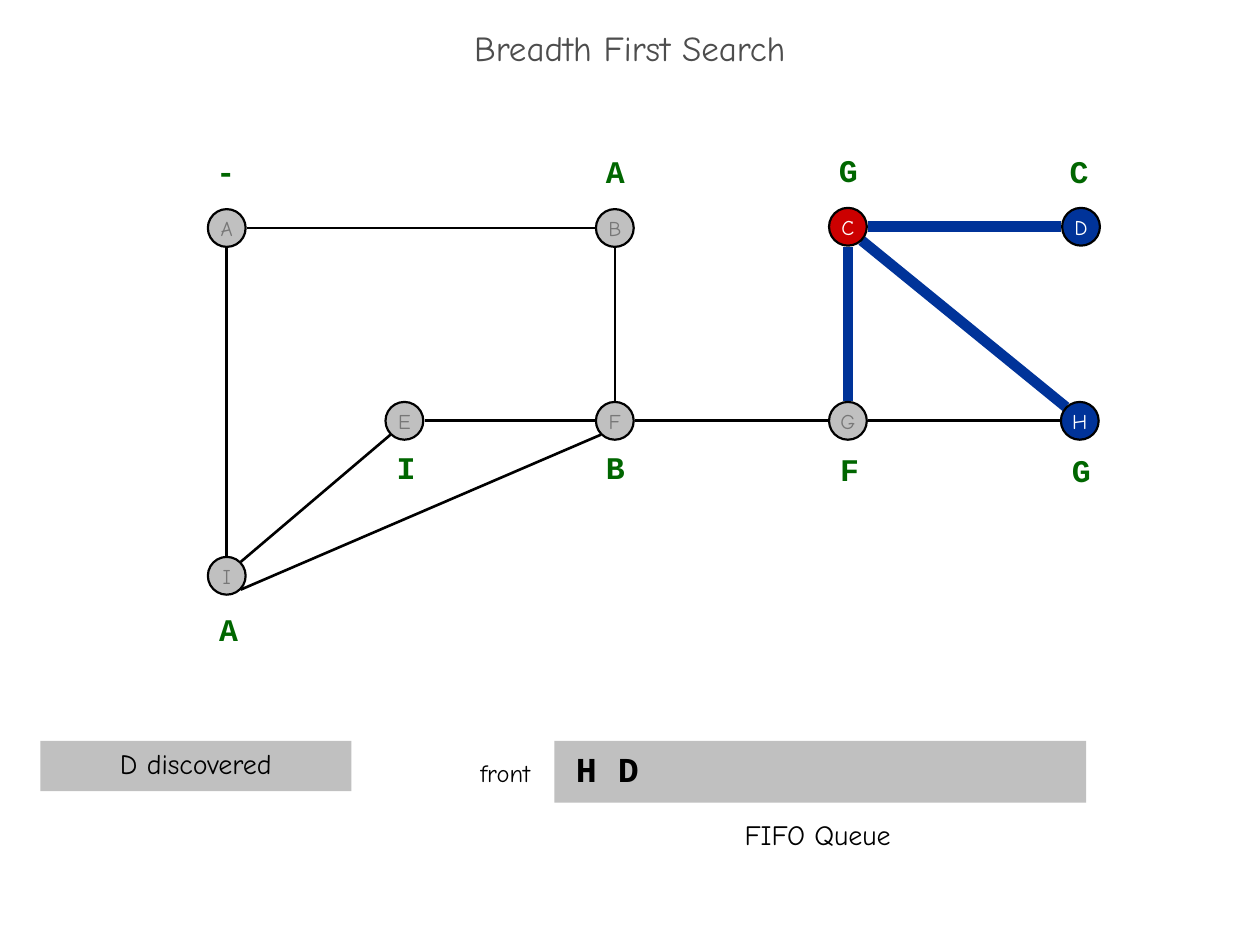
from pptx import Presentation
from pptx.dml.color import RGBColor
from pptx.enum import shapes, text
from pptx.util import Inches, Pt
from lxml import etree

BLACK = RGBColor(0x00, 0x00, 0x00)
WHITE = RGBColor(0xFF, 0xFF, 0xFF)
SLATE = RGBColor(0x4D, 0x4D, 0x4D)
DIM = RGBColor(0x77, 0x77, 0x77)
GREY = RGBColor(0xC0, 0xC0, 0xC0)
BLUE = RGBColor(0x00, 0x33, 0x99)
RED = RGBColor(0xCC, 0x00, 0x00)
GREEN = RGBColor(0x00, 0x66, 0x00)
HAND, MONO = "Comic Neue", "Courier New"
LEFT, MID = text.PP_ALIGN.LEFT, text.PP_ALIGN.CENTER
TOP, CENTER = text.MSO_ANCHOR.TOP, text.MSO_ANCHOR.MIDDLE
GROW, FIXED = text.MSO_AUTO_SIZE.SHAPE_TO_FIT_TEXT, text.MSO_AUTO_SIZE.NONE
DRAW = "http://schemas.openxmlformats.org/drawingml/2006/main"

SIZE, REACH, SLANT = 0.3, 0.16, 0.11
SITES = {"n": (0, -REACH), "s": (0, REACH), "w": (-REACH, 0), "e": (REACH, 0),
         "ne": (SLANT, -SLANT), "se": (SLANT, SLANT),
         "nw": (-SLANT, -SLANT), "sw": (-SLANT, SLANT)}
NODES = {"A": (0, 0.51), "B": (3.08, 0.51), "C": (4.93, 0.5),
         "D": (6.78, 0.5), "E": (1.41, 2.04), "F": (3.08, 2.04),
         "G": (4.93, 2.04), "H": (6.77, 2.04), "I": (0, 3.27)}
PARENTS = {"A": ("-", -0.03, 0.01), "B": ("A", 3.06, 0.01),
           "C": ("G", 4.91, 0), "D": ("C", 6.74, 0.01),
           "E": ("I", 1.4, 2.36), "F": ("B", 3.06, 2.36),
           "G": ("F", 4.92, 2.37), "H": ("G", 6.76, 2.38),
           "I": ("A", -0.01, 3.64)}
ACTIVE = {"C": RED, "D": BLUE, "H": BLUE}
PLAIN = [("A", "s", "I", "n"), ("F", "n", "B", "s"), ("E", "e", "F", "w"),
         ("I", "ne", "E", "sw"), ("A", "e", "B", "w"), ("I", "se", "F", "sw"),
         ("G", "e", "H", "w"), ("F", "e", "G", "w")]
TRACED = [("C", "s", "G", "n"), ("C", "se", "H", "nw"), ("C", "e", "D", "w")]


def write(shape, words, size, color, face=HAND, bold=False, align=MID,
          before=0, lead=None, anchor=TOP, wrap=True, fit=FIXED, inset=0.1):
    frame = shape.text_frame
    para = frame.paragraphs[0]
    run = para.add_run()
    run.text = words
    run.font.color.rgb = color
    formats = [
        (frame, {"word_wrap": wrap, "auto_size": fit, "vertical_anchor": anchor,
                 "margin_left": Inches(inset), "margin_right": Inches(inset),
                 "margin_top": Inches(0.05), "margin_bottom": Inches(0.05)}),
        (para, {"alignment": align, "space_before": Pt(before),
                "line_spacing": lead}),
        (run.font, {"name": face, "size": Pt(size), "bold": bold})]
    for part, values in formats:
        for name, value in values.items():
            setattr(part, name, value)


def label(slide, box, words, size, color, **style):
    shape = slide.shapes.add_textbox(*map(Inches, box))
    write(shape, words, size, color, **style)


def block(slide, box, kind, fill, line=None):
    shape = slide.shapes.add_shape(kind, *map(Inches, box))
    shape.shadow.inherit = False
    shape.fill.solid()
    shape.fill.fore_color.rgb = fill
    if line is None:
        shape.line.fill.background()
    else:
        shape.line.color.rgb = line
        shape.line.width = Pt(1.25)
    return shape


def edge(slide, left, top, link, color, width):
    ends = []
    for name, site in (link[:2], link[2:]):
        (x, y), (dx, dy) = NODES[name], SITES[site]
        ends += [left + x + SIZE / 2 + dx, top + y + SIZE / 2 + dy]
    line = slide.shapes.add_connector(
        shapes.MSO_CONNECTOR.STRAIGHT, *map(Inches, ends))
    line.line.color.rgb = color
    line.line.width = Pt(width)
    etree.SubElement(line._element.spPr, f"{{{DRAW}}}effectLst")


def graph(slide, left, top):
    for link in PLAIN + TRACED:
        edge(slide, left, top, link, BLACK, 1.5)
    for link in TRACED:
        edge(slide, left, top, link, BLUE, 6)
    for name, (x, y) in NODES.items():
        node = block(slide, (left + x, top + y, SIZE, SIZE),
                     shapes.MSO_SHAPE.OVAL, ACTIVE.get(name, GREY), BLACK)
        write(node, name, 12, WHITE if name in ACTIVE else DIM,
              anchor=CENTER, wrap=False)
    for words, x, y in PARENTS.values():
        label(slide, (left + x, top + y, 0.37, 0.4), words, 18, GREEN,
              face=MONO, bold=True, align=LEFT, before=11.2, fit=GROW)


def queue(slide, left, top):
    bar = block(slide, (left + 0.8, top, 4.22, 0.49),
                shapes.MSO_SHAPE.RECTANGLE, GREY)
    write(bar, "H D", 20, BLACK, face=MONO, bold=True, align=LEFT,
          before=12.5, inset=0.17)
    label(slide, (left, top + 0.09, 0.82, 0.33), "front", 14, BLACK,
          before=8.8, fit=GROW)
    label(slide, (left + 0.8, top + 0.56, 4.18, 0.37), "FIFO Queue", 16, BLACK,
          before=10, fit=GROW)


def status(slide, left, top):
    bar = block(slide, (left, top, 2.47, 0.4),
                shapes.MSO_SHAPE.RECTANGLE, GREY)
    write(bar, "D discovered", 16, BLACK, before=10, inset=0)


def main():
    deck = Presentation()
    deck.slide_width, deck.slide_height = Inches(10), Inches(7.5)
    slide = deck.slides.add_slide(deck.slide_layouts[6])
    label(slide, (0, 0.17, 10, 0.5), "Breadth First Search", 20, SLATE,
          lead=0.7, anchor=CENTER)
    graph(slide, 1.65, 1.15)
    status(slide, 0.32, 5.88)
    queue(slide, 3.6, 5.88)
    deck.save("out.pptx")


if __name__ == "__main__":
    main()
